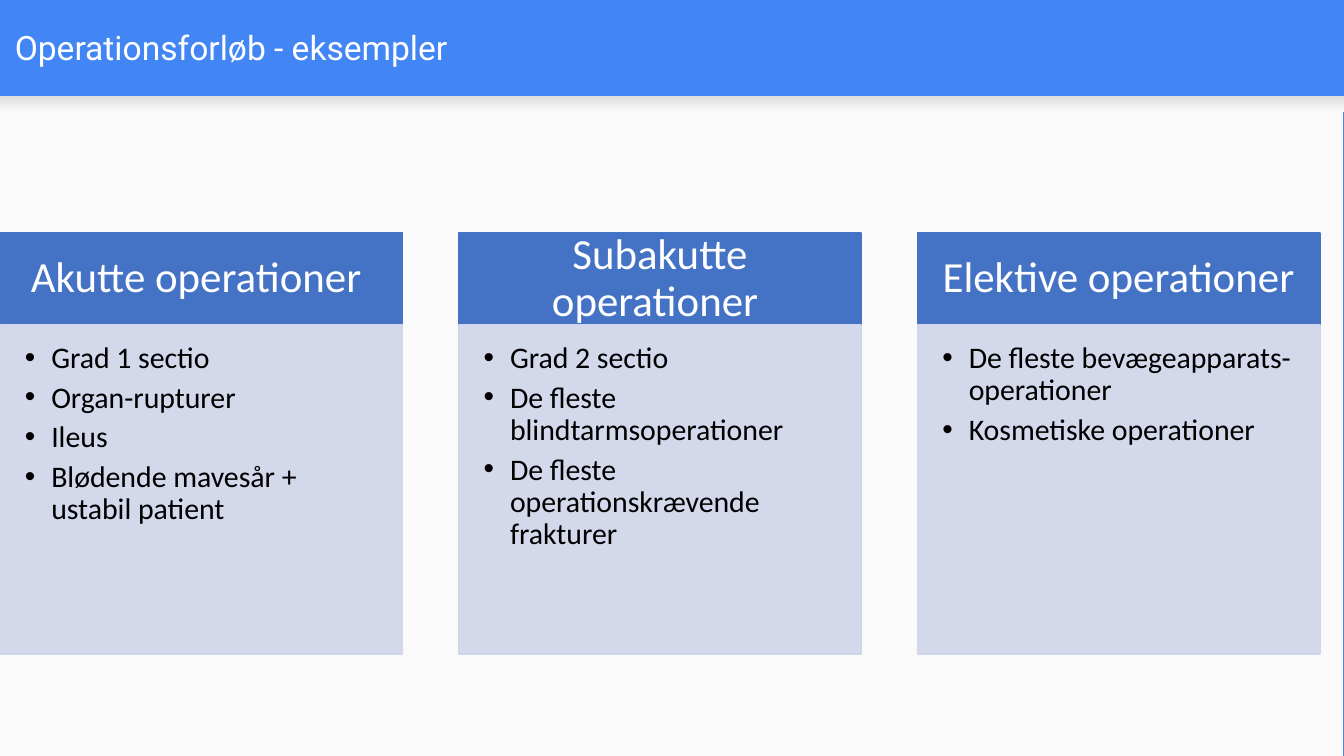
from dataclasses import dataclass

from lxml.etree import SubElement
from pptx import Presentation
from pptx.dml.color import RGBColor
from pptx.enum.shapes import MSO_SHAPE as Shape
from pptx.enum.text import MSO_ANCHOR as Anchor, PP_ALIGN as Align
from pptx.oxml.ns import qn
from pptx.util import Cm, Pt


@dataclass(frozen=True)
class Theme:
    blue: str = "4285F4"
    paper: str = "FAFAFA"
    shade_light: str = "F9F9F9"
    shade_dark: str = "DEDEDE"
    head: str = "4472C4"
    body: str = "CFD5EA"
    white: str = "FFFFFF"
    black: str = "000000"
    title_font: str = "Roboto"
    font: str = "Calibri"
    title_size: int = 18
    head_size: int = 23
    body_size: int = 16


@dataclass(frozen=True)
class Column:
    heading: str
    items: tuple[str, ...]


T = Theme()
WIDTH, HEIGHT = 25.4, 14.29
BAR_HEIGHT = 1.82
COLUMN_WIDTH, PITCH = 7.61, 8.67
HEAD_TOP, HEAD_HEIGHT = 4.4, 1.75
BODY_HEIGHT = 6.22

COLUMNS = (
    Column("Akutte operationer ",
           ("Grad 1 sectio", "Organ-rupturer", "Ileus",
            "Blødende mavesår + ustabil patient")),
    Column("Subakutte operationer ",
           ("Grad 2 sectio", "De fleste blindtarmsoperationer",
            "De fleste operationskrævende frakturer")),
    Column("Elektive operationer ",
           ("De fleste bevægeapparats-operationer",
            "Kosmetiske operationer")),
)


def rgb(color: str) -> RGBColor:
    return RGBColor.from_string(color)


def add_bullet(p, color: str) -> None:
    pPr = p._p.get_or_add_pPr()
    pPr.set("marL", str(Cm(0.64)))
    pPr.set("indent", str(-Cm(0.5)))
    SubElement(SubElement(pPr, qn("a:buClr")), qn("a:srgbClr")).set("val", color)
    SubElement(pPr, qn("a:buFont")).set("typeface", "Arial")
    SubElement(pPr, qn("a:buChar")).set("char", "•")


def write(sp, *lines: str, size: int, color: str, font: str = T.font,
          align=Align.LEFT, anchor=Anchor.MIDDLE, spacing: float = 1.0,
          bullets: bool = False, insets=(0, 0.25, 0, 0.25)) -> None:
    """Fill a shape with one paragraph per line; insets are left, top, right, bottom in cm."""
    tf = sp.text_frame
    tf.word_wrap = True
    tf.vertical_anchor = anchor
    tf.margin_left, tf.margin_top, tf.margin_right, tf.margin_bottom = map(Cm, insets)
    for i, line in enumerate(lines):
        p = tf.add_paragraph() if i else tf.paragraphs[0]
        p.alignment = align
        p.line_spacing = spacing
        if i:
            p.space_before = Pt(4)
        if bullets:
            add_bullet(p, color)
        r = p.add_run()
        r.text = line
        r.font.name, r.font.size = font, Pt(size)
        r.font.color.rgb = rgb(color)


def add_rect(s, left: float, top: float, width: float, height: float,
             fill: str, outlined: bool = False):
    sp = s.shapes.add_shape(Shape.RECTANGLE, Cm(left), Cm(top), Cm(width), Cm(height))
    sp.shadow.inherit = False
    sp.fill.solid()
    sp.fill.fore_color.rgb = rgb(fill)
    if outlined:
        sp.line.color.rgb = rgb(fill)
        sp.line.width = Pt(1)
    else:
        sp.line.fill.background()
    return sp


def set_opacity(sp, percent: int) -> None:
    color = sp._element.spPr.find(qn("a:solidFill")).find(qn("a:srgbClr"))
    SubElement(color, qn("a:alpha")).set("val", str(percent * 1000))


def draw_frame(s) -> None:
    """Blue title bar with a soft shade over the light content area."""
    s.background.fill.solid()
    s.background.fill.fore_color.rgb = rgb(T.blue)
    add_rect(s, -0.02, BAR_HEIGHT, WIDTH, HEIGHT - BAR_HEIGHT, T.paper)
    shade = add_rect(s, 0, BAR_HEIGHT, WIDTH, 0.3, T.shade_dark)
    shade.fill.gradient()
    shade.fill.gradient_angle = 90
    stops = zip(shade.fill.gradient_stops, (T.shade_light, T.shade_dark), (0, 1))
    for stop, color, position in stops:
        stop.color.rgb = rgb(color)
        stop.position = position
    title = s.shapes.add_textbox(Cm(0.28), Cm(0.05), Cm(24.5), Cm(1.68))
    write(title, "Operationsforløb - eksempler", size=T.title_size,
          color=T.white, font=T.title_font)


def draw_column(s, column: Column, left: float) -> None:
    head = add_rect(s, left, HEAD_TOP, COLUMN_WIDTH, HEAD_HEIGHT, T.head, outlined=True)
    write(head, column.heading, size=T.head_size, color=T.white,
          align=Align.CENTER, spacing=0.9, insets=(0.46, 0.25, 0.46, 0.25))
    body = add_rect(s, left, HEAD_TOP + HEAD_HEIGHT, COLUMN_WIDTH, BODY_HEIGHT,
                    T.body, outlined=True)
    set_opacity(body, 90)
    write(body, *column.items, size=T.body_size, color=T.black, anchor=Anchor.TOP,
          spacing=0.9, bullets=True, insets=(0.33, 0.33, 0.46, 0.5))


def main() -> None:
    prs = Presentation()
    prs.slide_width, prs.slide_height = Cm(WIDTH), Cm(HEIGHT)
    s = prs.slides.add_slide(prs.slide_layouts[6])
    draw_frame(s)
    for i, column in enumerate(COLUMNS):
        draw_column(s, column, i * PITCH)
    prs.save("out.pptx")


if __name__ == "__main__":
    main()
